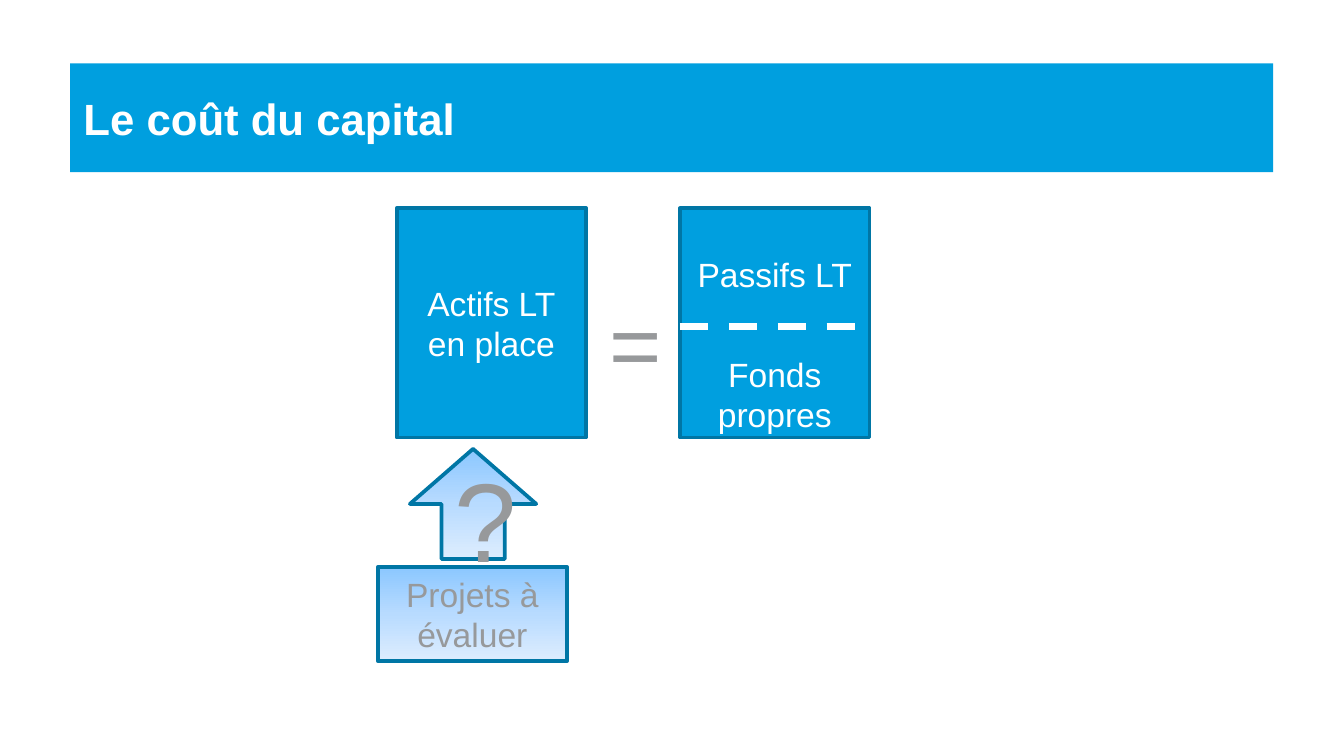
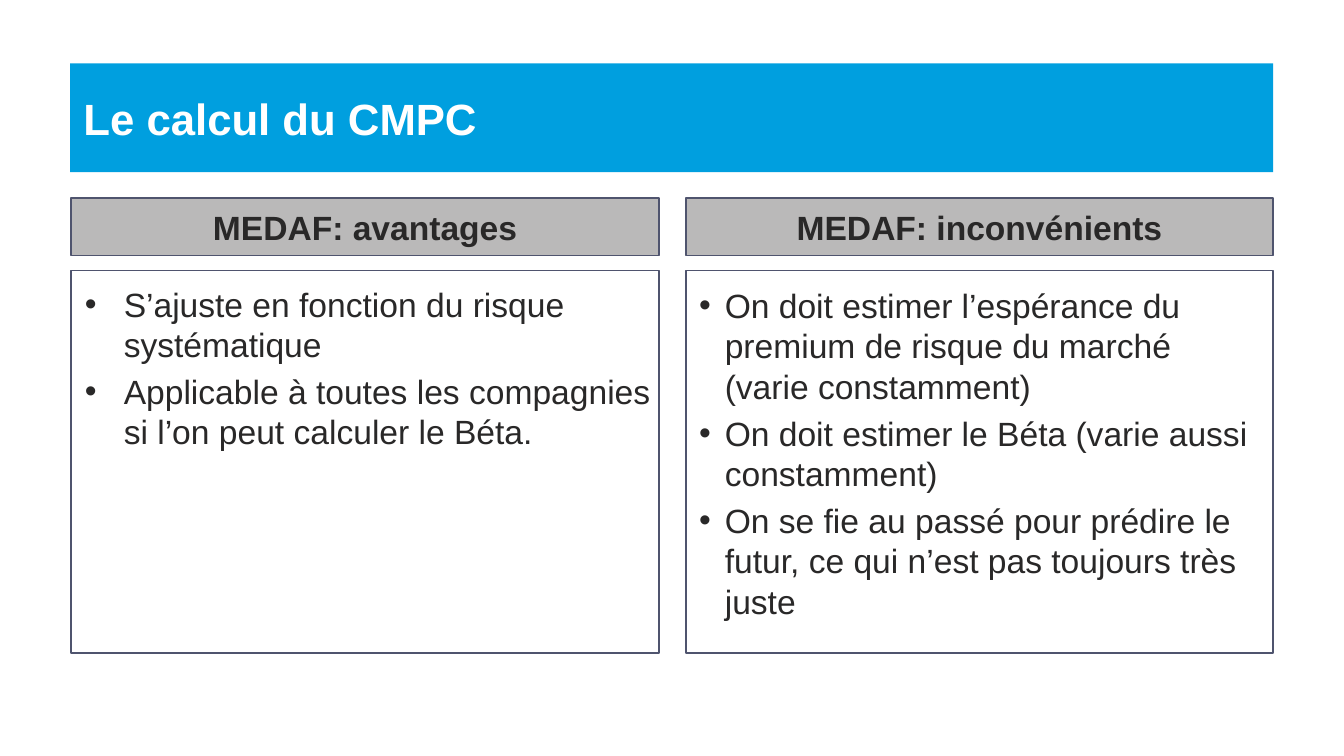
"""Build two French slides on the cost of capital and the CAPM."""
from copy import deepcopy

from lxml import etree
from pptx import Presentation
from pptx import util as u
from pptx.dml.color import RGBColor
from pptx.enum import dml, shapes, text
from pptx.oxml import ns

COLORS = {
    "band": "009FDF", "edge": "0076A5", "white": "FFFFFF", "grey": "97999B",
    "ink": "292828", "heading": "BAB9B9", "frame": "4F546E",
}
PALE_BLUES = [(0, "8BC7FF"), (0.5, "B8DBFF"), (1, "DDEDFE")]
FONT = "Arial"


def add_box(slide, area, fill, line, width, kind=shapes.MSO_SHAPE.RECTANGLE):
    box = slide.shapes.add_shape(kind, *map(u.Pt, area))
    box.shadow.inherit = False
    box.line.color.rgb = RGBColor.from_string(COLORS[line])
    box.line.width = u.Pt(width)
    if fill == "pale":
        box.fill.gradient()
        box.fill.gradient_angle = 270
        first_stop = box._element.spPr.xpath(".//a:gs")[0]
        first_stop.addnext(deepcopy(first_stop))
        for stop, (position, color) in zip(box.fill.gradient_stops, PALE_BLUES):
            stop.position = position
            stop.color.rgb = RGBColor.from_string(color)
    elif fill:
        box.fill.solid()
        box.fill.fore_color.rgb = RGBColor.from_string(COLORS[fill])
    else:
        box.fill.background()
    return box


def write(shape, lines, color, size=18, bold=False, align="CENTER", anchor="MIDDLE",
          gap=0, hang=None):
    frame = shape.text_frame
    frame.word_wrap = True
    frame.auto_size = text.MSO_AUTO_SIZE.NONE
    frame.vertical_anchor = text.MSO_ANCHOR[anchor]
    for number, line in enumerate(lines):
        paragraph = frame.add_paragraph() if number else frame.paragraphs[0]
        paragraph.alignment = text.PP_ALIGN[align]
        paragraph.space_before = u.Pt(gap if number else 0)
        if hang:
            properties = paragraph._p.get_or_add_pPr()
            properties.set("marL", str(u.Pt(hang)))
            properties.set("indent", str(-u.Pt(hang)))
            etree.SubElement(properties, ns.qn("a:buFont")).set("typeface", FONT)
            etree.SubElement(properties, ns.qn("a:buChar")).set("char", "•")
        run = paragraph.add_run()
        run.text = line
        run.font.name = FONT
        run.font.size = u.Pt(size)
        run.font.bold = bold
        run.font.color.rgb = RGBColor.from_string(COLORS[color])


deck = Presentation()
deck.slide_width, deck.slide_height = u.Pt(720), u.Pt(405)

capital = deck.slides.add_slide(deck.slide_layouts[5])
cmpc = deck.slides.add_slide(deck.slide_layouts[3])
for slide, heading in [(capital, "Le coût du capital"), (cmpc, "Le calcul du CMPC")]:
    title = slide.shapes.title
    title.left, title.top, title.width, title.height = map(u.Pt, (37.5, 34, 644.5, 58.3))
    title.fill.solid()
    title.fill.fore_color.rgb = RGBColor.from_string(COLORS["band"])
    write(title, [heading], "white", 23.4, bold=True, align="LEFT")

BLOCK_TOP, BLOCK_WIDTH, BLOCK_HEIGHT = 111.6, 101.5, 122.8
LIABILITIES_LEFT = 364.3
liabilities = add_box(capital, (LIABILITIES_LEFT, BLOCK_TOP, BLOCK_WIDTH, BLOCK_HEIGHT),
                      "band", "edge", 2)
liabilities.text_frame.margin_top = u.Pt(24.5)
liabilities.text_frame.margin_bottom = 0
write(liabilities, ["Passifs LT", "Fonds propres"], "white", anchor="TOP", gap=32)

divider = capital.shapes.add_connector(
    shapes.MSO_CONNECTOR.STRAIGHT, u.Pt(LIABILITIES_LEFT), u.Pt(174.9),
    u.Pt(LIABILITIES_LEFT + BLOCK_WIDTH), u.Pt(174.9))
divider.line.color.rgb = RGBColor.from_string(COLORS["white"])
divider.line.width = u.Pt(3.75)
divider.line.dash_style = dml.MSO_LINE.DASH
etree.SubElement(divider._element.spPr, ns.qn("a:effectLst"))

assets = add_box(capital, (212.5, BLOCK_TOP, BLOCK_WIDTH, BLOCK_HEIGHT), "band", "edge", 2)
write(assets, ["Actifs LT", "en place"], "white")

equals = capital.shapes.add_textbox(*map(u.Pt, (319.7, 150.5, 39.6, 59.8)))
write(equals, ["="], "grey", 48, align="LEFT", anchor="TOP")

projects = add_box(capital, (202.3, 303.8, BLOCK_WIDTH, 50.4), "pale", "edge", 2)
write(projects, ["Projets à évaluer"], "grey")

question = add_box(capital, (219.6, 240.5, 67.7, 59), "pale", "edge", 2,
                   shapes.MSO_SHAPE.UP_ARROW)
write(question, ["?"], "grey", 60)

COLUMN_WIDTH = 314.8
sides = [
    ("MEDAF: avantages", 38.2, (38.2, 148.3, 319, 149.8), 20.9, [
        "S’ajuste en fonction du risque systématique",
        "Applicable à toutes les compagnies si l’on peut calculer le Béta.",
    ]),
    ("MEDAF: inconvénients", 367.4, (367.4, 149, 314.8, 164.2), 13.7, [
        "On doit estimer l’espérance du premium de risque du marché (varie constamment)",
        "On doit estimer le Béta (varie aussi constamment)",
        "On se fie au passé pour prédire le futur, ce qui n’est pas toujours très juste",
    ]),
]
for points, (heading, left, area, hang, arguments) in zip(list(cmpc.placeholders)[1:], sides):
    points.left, points.top, points.width, points.height = map(u.Pt, area)
    write(points, arguments, "ink", align="LEFT", anchor="TOP", gap=3.6, hang=hang)
    header = add_box(cmpc, (left, 105.9, COLUMN_WIDTH, 31), "heading", "frame", 1)
    write(header, [heading], "ink", bold=True)
    add_box(cmpc, (left, 144.9, COLUMN_WIDTH, 205), None, "frame", 1)

deck.save("out.pptx")
